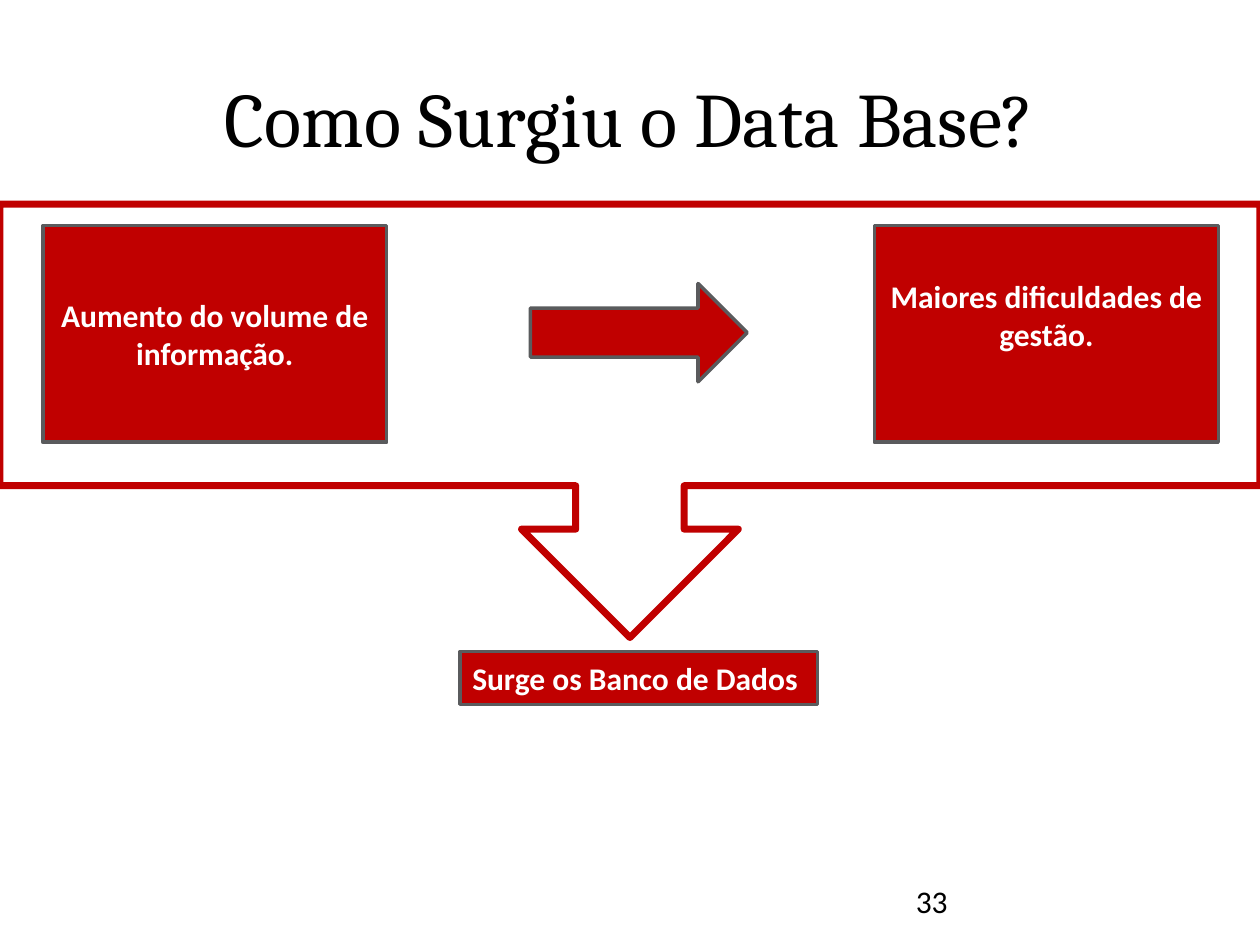
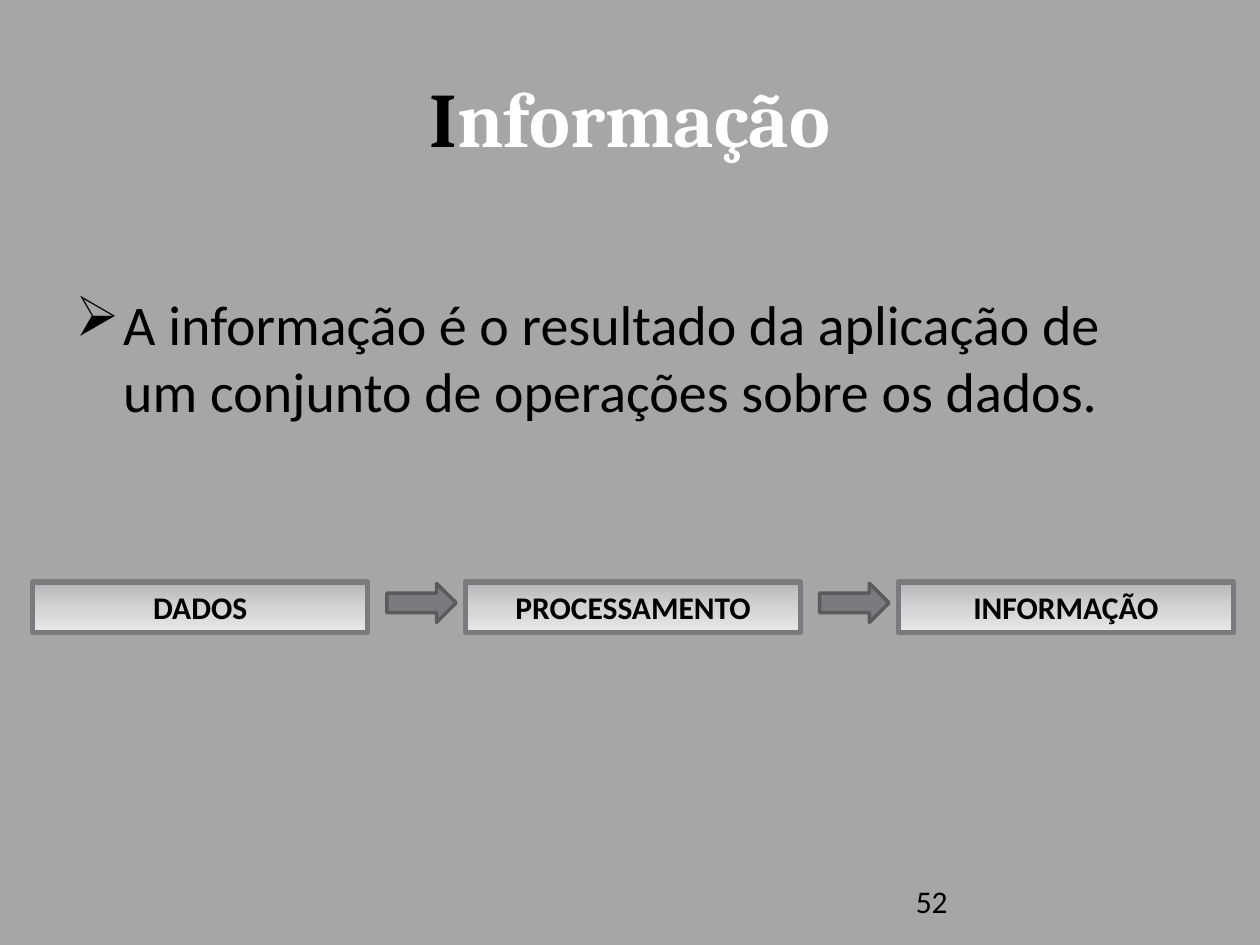
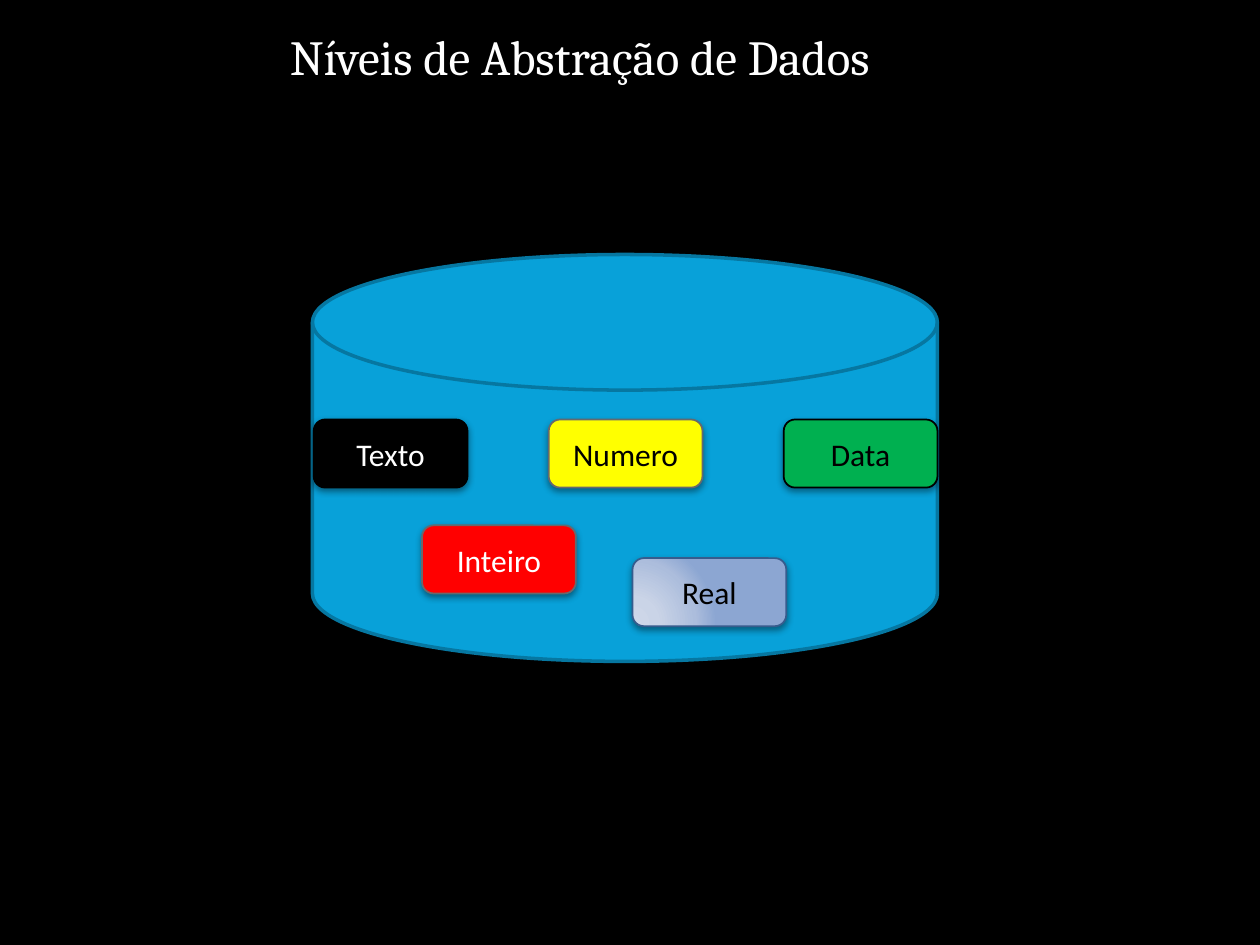
from pptx import Presentation
from pptx import util as u
from pptx.dml.color import RGBColor
from pptx.enum import shapes, text
from pptx.oxml import parse_xml
from pptx.oxml.ns import nsdecls, qn

WIDTH, HEIGHT = u.Inches(10), u.Inches(7.5)
COLUMN, ROW = WIDTH / 100, HEIGHT / 75
TITLE_ONLY = 5

HEADING_FONT, BODY_FONT = "Cambria", "Calibri"
BLACK = RGBColor(0x00, 0x00, 0x00)
WHITE = RGBColor(0xFF, 0xFF, 0xFF)
BACKDROP_GRAY = RGBColor(0xA6, 0xA6, 0xA6)
CRIMSON = RGBColor(0xC0, 0x00, 0x00)
OUTLINE_GRAY = RGBColor(0x5A, 0x5B, 0x5D)
STEEL = RGBColor(0x79, 0x7B, 0x7E)
TYPE_OUTLINE = RGBColor(0x67, 0x69, 0x6D)
DISK_BLUE = RGBColor(0x08, 0xA1, 0xD9)
DISK_OUTLINE = RGBColor(0x06, 0x77, 0xA1)
RED = RGBColor(0xFF, 0x00, 0x00)
GREEN = RGBColor(0x00, 0xB0, 0x50)
YELLOW = RGBColor(0xFF, 0xFF, 0x00)
NAVY = RGBColor(0x36, 0x5C, 0x8D)

SILVER_STOPS = [(0, RGBColor(0xB5, 0xB6, 0xB8)), (50, RGBColor(0xD1, 0xD2, 0xD3)),
                (100, RGBColor(0xE8, 0xE9, 0xE9))]
PERIWINKLE_STOPS = [(0, RGBColor(0xCF, 0xD8, 0xE9)), (30, RGBColor(0xCA, 0xD4, 0xE7)),
                    (75, RGBColor(0xAC, 0xBD, 0xDC)), (100, RGBColor(0x8C, 0xA6, 0xD2))]
DOWNWARD = '<a:lin ang="5400000" scaled="0"/>'
FROM_LOWER_LEFT = ('<a:path path="circle"><a:fillToRect l="5000" t="100000" '
                   'r="120000" b="10000"/></a:path>')
SILVER = (SILVER_STOPS, DOWNWARD)
PERIWINKLE = (PERIWINKLE_STOPS, FROM_LOWER_LEFT)

SHAPE = shapes.MSO_SHAPE
CENTER, LEFT = text.PP_ALIGN.CENTER, text.PP_ALIGN.LEFT
MIDDLE, TOP = text.MSO_ANCHOR.MIDDLE, text.MSO_ANCHOR.TOP


def grid(column, row, columns, rows):
    """Turn grid units into left, top, width and height."""
    return (round(column * COLUMN), round(row * ROW),
            round(columns * COLUMN), round(rows * ROW))


def add_run(paragraph, words, size, color, bold=False, font=BODY_FONT):
    run = paragraph.add_run()
    run.text = words
    run.font.name = font
    run.font.size = u.Pt(size)
    run.font.bold = bold
    run.font.color.rgb = color


def add_slide(presentation, background, title_runs, title_area=(5, 3, 90, 12.5),
              title_size=44, bold=False):
    slide = presentation.slides.add_slide(presentation.slide_layouts[TITLE_ONLY])
    slide.background.fill.solid()
    slide.background.fill.fore_color.rgb = background
    title = slide.shapes.title
    title.left, title.top, title.width, title.height = grid(*title_area)
    frame = title.text_frame
    frame.auto_size = text.MSO_AUTO_SIZE.NONE
    frame.vertical_anchor = MIDDLE
    paragraph = frame.paragraphs[0]
    paragraph.alignment = CENTER
    for words, color in title_runs:
        add_run(paragraph, words, title_size, color, bold, HEADING_FONT)
    return slide


def fill_gradient(shape, stops, direction):
    shape.fill.gradient()
    gradient = shape._element.spPr.find(qn("a:gradFill"))
    stop_list = "".join(
        f'<a:gs pos="{percent * 1000}"><a:srgbClr val="{color}"/></a:gs>'
        for percent, color in stops)
    gradient.getparent().replace(gradient, parse_xml(
        f'<a:gradFill {nsdecls("a")} rotWithShape="1">'
        f'<a:gsLst>{stop_list}</a:gsLst>{direction}</a:gradFill>'))


def add_figure(slide, kind, area, fill, outline, line_width):
    """Add a preset shape; fill is a colour, a gradient pair or None."""
    shape = slide.shapes.add_shape(kind, *grid(*area))
    shape.shadow.inherit = False
    if fill is None:
        shape.fill.background()
    elif isinstance(fill, RGBColor):
        shape.fill.solid()
        shape.fill.fore_color.rgb = fill
    else:
        fill_gradient(shape, *fill)
    shape.line.color.rgb = outline
    shape.line.width = u.Pt(line_width)
    return shape


def write_label(shape, words, color, bold=False, alignment=CENTER, anchor=MIDDLE):
    frame = shape.text_frame
    frame.word_wrap = True
    frame.vertical_anchor = anchor
    paragraph = frame.paragraphs[0]
    paragraph.alignment = alignment
    add_run(paragraph, words, 18, color, bold)


def add_text_box(slide, area):
    frame = slide.shapes.add_textbox(*grid(*area)).text_frame
    frame.word_wrap = True
    return frame.paragraphs[0]


def add_page_number(slide, number):
    add_run(add_text_box(slide, (71.7, 69.5, 23.3, 4)), number, 18, BLACK)


def add_bullet(paragraph, symbol, indent):
    properties = paragraph._p.get_or_add_pPr()
    properties.set("marL", str(indent))
    properties.set("indent", str(-indent))
    properties.append(parse_xml(f'<a:buChar {nsdecls("a")} char="{symbol}"/>'))


def add_drop_shadow(shape, opacity, distance):
    effects = shape._element.spPr.find(qn("a:effectLst"))
    effects.append(parse_xml(
        f'<a:outerShdw {nsdecls("a")} blurRad="{u.Pt(4)}" dist="{u.Pt(distance)}" '
        f'dir="5400000" rotWithShape="0"><a:srgbClr val="{BLACK}">'
        f'<a:alpha val="{opacity * 1000}"/></a:srgbClr></a:outerShdw>'))


def add_crimson_box(slide, area, words, alignment=CENTER):
    box = add_figure(slide, SHAPE.RECTANGLE, area, CRIMSON, OUTLINE_GRAY, 2)
    write_label(box, words, WHITE, True, alignment)
    return box


def add_data_type(slide, column, row, name, fill, outline, color, opacity=40, distance=2):
    card = add_figure(slide, SHAPE.ROUNDED_RECTANGLE, (column, row, 12.2, 5.4),
                      fill, outline, 1)
    add_drop_shadow(card, opacity, distance)
    write_label(card, name, color)


def build_origin_slide(presentation):
    slide = add_slide(presentation, WHITE, [("Como Surgiu o Data Base?", BLACK)])
    add_figure(slide, SHAPE.RIGHT_ARROW, (42.1, 22.5, 17.2, 7.8), CRIMSON, OUTLINE_GRAY, 2)
    add_figure(slide, SHAPE.DOWN_ARROW_CALLOUT, (0, 16.2, 100, 34.4), None, CRIMSON, 4)
    add_crimson_box(slide, (3.4, 17.9, 27.3, 17.2), "Aumento do volume de informação.")
    effect = add_crimson_box(slide, (69.4, 17.9, 27.3, 17.2),
                             "Maiores dificuldades de gestão.")
    effect.text_frame.margin_bottom = u.Inches(0.35)
    add_crimson_box(slide, (36.5, 51.7, 28.4, 4.2), "Surge os Banco de Dados", LEFT)
    add_page_number(slide, "33")


def build_information_slide(presentation):
    slide = add_slide(presentation, BACKDROP_GRAY,
                      [("I", BLACK), ("nformação", WHITE)], bold=True)
    definition = add_text_box(slide, (5, 22.5, 90, 37))
    definition.space_before = u.Pt(6.4)
    add_bullet(definition, "➢", u.Inches(0.38))
    add_run(definition, "A informação é o resultado da aplicação de um conjunto "
            "de operações sobre os dados.", 32, BLACK)

    steps = ["DADOS", "PROCESSAMENTO", "INFORMAÇÃO"]
    pitch = 34.35
    for index, step in enumerate(steps):
        column = 2.6 + index * pitch
        box = add_figure(slide, SHAPE.RECTANGLE, (column, 46.2, 26.6, 4), SILVER, STEEL, 3)
        write_label(box, step, BLACK, True, anchor=TOP)
        if index < len(steps) - 1:
            add_figure(slide, SHAPE.RIGHT_ARROW, (column + 28.1, 46.3, 5.5, 3.1),
                       STEEL, OUTLINE_GRAY, 2)
    add_page_number(slide, "52")


def build_abstraction_slide(presentation):
    slide = add_slide(presentation, BLACK, [("Níveis de Abstração de Dados", WHITE)],
                      (3.5, 2.1, 85, 4.7), 28)
    add_figure(slide, SHAPE.FLOWCHART_MAGNETIC_DISK, (24.8, 20.2, 49.6, 32.3),
               DISK_BLUE, DISK_OUTLINE, 2)
    first, pitch, top = 24.9, 18.65, 33.3
    add_data_type(slide, first, top, "Texto", BLACK, BLACK, WHITE, 42, 1.6)
    add_data_type(slide, 33.5, 41.7, "Inteiro", RED, TYPE_OUTLINE, WHITE, 42, 1.6)
    add_data_type(slide, 50.2, 44.3, "Real", PERIWINKLE, NAVY, BLACK)
    add_data_type(slide, first + 2 * pitch, top, "Data", GREEN, BLACK, BLACK)
    add_data_type(slide, first + pitch, top, "Numero", YELLOW, TYPE_OUTLINE, BLACK)


def main():
    presentation = Presentation()
    presentation.slide_width, presentation.slide_height = WIDTH, HEIGHT
    build_origin_slide(presentation)
    build_information_slide(presentation)
    build_abstraction_slide(presentation)
    presentation.save("out.pptx")


if __name__ == "__main__":
    main()
